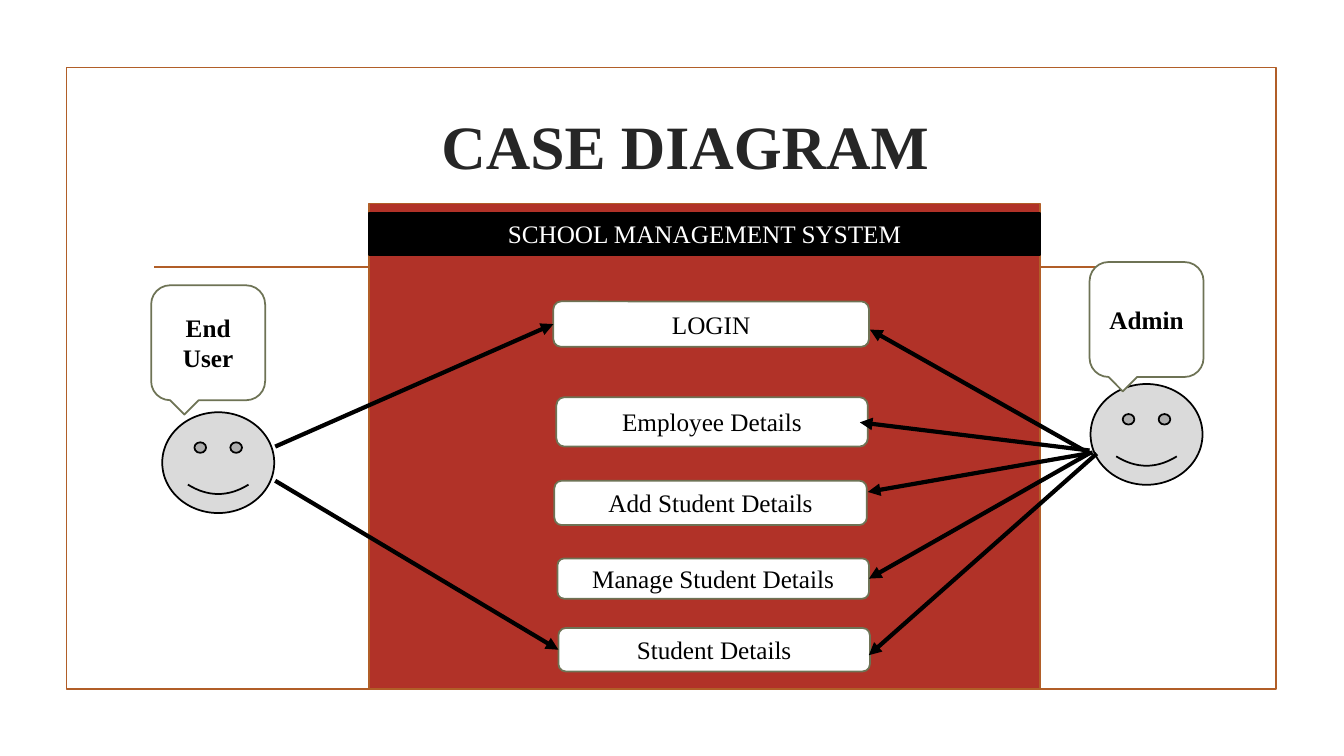
from dataclasses import dataclass

from lxml import etree
from pptx import Presentation
from pptx.dml.color import RGBColor
from pptx.enum.shapes import MSO_CONNECTOR, MSO_SHAPE
from pptx.enum.text import MSO_ANCHOR, PP_ALIGN
from pptx.oxml.ns import qn
from pptx.util import Pt

RECT = MSO_SHAPE.RECTANGLE
ROUNDED = MSO_SHAPE.ROUNDED_RECTANGLE
CALLOUT = MSO_SHAPE.ROUNDED_RECTANGULAR_CALLOUT
SMILEY = MSO_SHAPE.SMILEY_FACE
STRAIGHT = MSO_CONNECTOR.STRAIGHT
CENTER = PP_ALIGN.CENTER
MIDDLE = MSO_ANCHOR.MIDDLE
LEFT_SIDE, RIGHT_SIDE = 1, 3
TITLE_ONLY = 5


@dataclass(frozen=True)
class Theme:
    font: str = "Times New Roman"
    title_size: float = 44
    label_size: float = 18
    thin: float = 1.25
    thick: float = 3
    title: str = "262626"
    accent: str = "B15E28"
    panel: str = "B13228"
    outline: str = "6E7355"
    face: str = "DADADA"
    black: str = "000000"
    white: str = "FFFFFF"


THEME = Theme()

# All lengths in points; areas are left, top, width, height.
TITLE = "CASE DIAGRAM"
TITLE_AREA = (93.6, 69.8, 792, 67.7)
FRAME_AREA = (47.5, 48.2, 864, 444.2)
RULE = ((110.2, 190.8), (850.3, 190.8))
SYSTEM = "SCHOOL MANAGEMENT SYSTEM"
PANEL_AREA = (263.5, 145.4, 479.5, 347)
HEADER_TOP, HEADER_HEIGHT = 151.9, 30.2

USE_CASES = {
    "LOGIN": (395.3, 215.3, 225.4, 32.4),
    "Employee Details": (397.4, 283.7, 222.5, 35.3),
    "Add Student Details": (396, 343.4, 223.2, 31.7),
    "Manage Student Details": (398.2, 398.9, 222.5, 28.8),
    "Student Details": (398.9, 448.6, 222.5, 31),
}

FACE_SIZE = (80, 72)
CALLOUT_SIZE = (81.4, 82.1)
ACTORS = [  # name, face corner, callout corner
    ("End User", (115.9, 294.5), (108, 203.8)),
    ("Admin", (779, 274.3), (778.3, 187.2)),
]

JOINED_ARROWS = [  # start, use case, side of its box
    ((196.6, 319), "LOGIN", LEFT_SIDE),
    ((196.6, 343.4), "Student Details", LEFT_SIDE),
    ((779, 323.3), "Manage Student Details", RIGHT_SIDE),
]
FREE_ARROWS = [  # start, end
    ((780.5, 323.3), (619.9, 351.4)),
    ((778.3, 321.8), (614.2, 301.7)),
    ((783.4, 324), (620.6, 468)),
    ((778.3, 324), (621.4, 235.4)),
]


def color(code):
    return RGBColor.from_string(code)


def write(shape, text, size=THEME.label_size, ink=THEME.black, bold=False):
    frame = shape.text_frame
    frame.word_wrap = True
    frame.vertical_anchor = MIDDLE
    para = frame.paragraphs[0]
    para.alignment = CENTER
    span = para.add_run()
    span.text = text
    span.font.name = THEME.font
    span.font.size = Pt(size)
    span.font.bold = bold
    span.font.color.rgb = color(ink)


def add_box(page, kind, area, line, fill=None):
    box = page.shapes.add_shape(kind, *map(Pt, area))
    box.shadow.inherit = False
    box.line.color.rgb = color(line)
    box.line.width = Pt(THEME.thin)
    if fill:
        box.fill.solid()
        box.fill.fore_color.rgb = color(fill)
    else:
        box.fill.background()
    return box


def add_line(page, start, end, ink, width, arrow=False):
    line = page.shapes.add_connector(STRAIGHT, *map(Pt, (*start, *end)))
    line.line.color.rgb = color(ink)
    line.line.width = Pt(width)
    if arrow:
        outline = line.line._get_or_add_ln()
        etree.SubElement(outline, qn("a:tailEnd"), type="triangle")
    etree.SubElement(line._element.spPr, qn("a:effectLst"))
    return line


def add_arrow(page, start, end):
    return add_line(page, start, end, THEME.black, THEME.thick, arrow=True)


def add_title(page):
    title = page.shapes.title
    title.left, title.top, title.width, title.height = map(Pt, TITLE_AREA)
    write(title, TITLE, size=THEME.title_size, ink=THEME.title, bold=True)


def add_system(page):
    """Draw the panel with its header and return the use case boxes by name."""
    add_box(page, RECT, PANEL_AREA, THEME.accent, THEME.panel)
    boxes = {}
    for name, area in USE_CASES.items():
        boxes[name] = add_box(page, ROUNDED, area, THEME.outline, THEME.white)
        write(boxes[name], name)
    left, _, width, _ = PANEL_AREA
    header_area = (left, HEADER_TOP, width, HEADER_HEIGHT)
    header = add_box(page, RECT, header_area, THEME.black, THEME.black)
    write(header, SYSTEM, ink=THEME.white)
    return boxes


def add_actors(page):
    for name, face_corner, callout_corner in ACTORS:
        add_box(page, SMILEY, face_corner + FACE_SIZE, THEME.black, THEME.face)
        callout = add_box(page, CALLOUT, callout_corner + CALLOUT_SIZE,
                          THEME.outline, THEME.white)
        write(callout, name, bold=True)


def add_arrows(page, boxes):
    for start, name, side in JOINED_ARROWS:
        add_arrow(page, start, start).end_connect(boxes[name], side)
    for start, end in FREE_ARROWS:
        add_arrow(page, start, end)


def main():
    deck = Presentation()
    deck.slide_width, deck.slide_height = Pt(960), Pt(540)
    page = deck.slides.add_slide(deck.slide_layouts[TITLE_ONLY])
    add_title(page)
    add_box(page, RECT, FRAME_AREA, THEME.accent)
    add_line(page, *RULE, THEME.accent, THEME.thin)
    boxes = add_system(page)
    add_actors(page)
    add_arrows(page, boxes)
    deck.save("out.pptx")


if __name__ == "__main__":
    main()
